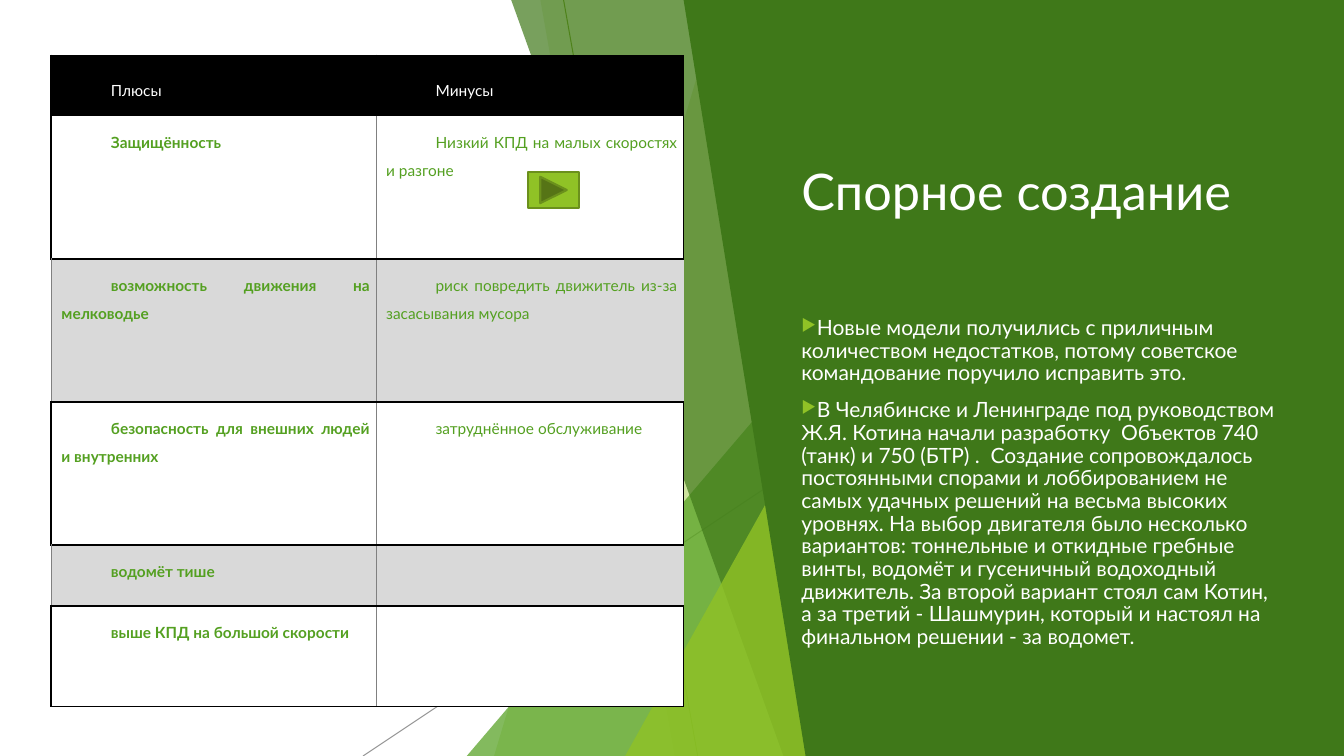
"""Build the slide on the disputed design: a pros and cons table beside a green text panel."""
from dataclasses import dataclass

from lxml import etree
from pptx import Presentation
from pptx.dml.color import RGBColor
from pptx.enum.shapes import MSO_CONNECTOR as CONN, MSO_SHAPE as SHAPE
from pptx.enum.text import MSO_ANCHOR as ANCHOR, PP_ALIGN as ALIGN
from pptx.oxml.ns import qn
from pptx.util import Inches, Pt

FONT = "Lato"
WHITE, BLACK, GRAY, BAND = "FFFFFF", "000000", "808080", "D9D9D9"
LIME, GREEN, DARK = "90C226", "54A021", "3F7819"
NO_GRID = "{2D5ABB26-0587-4C30-8999-92F81FD0307C}"


@dataclass
class Line:
    start: tuple[float, float]
    end: tuple[float, float]
    color: str
    alpha: int = 100


@dataclass
class Facet:
    points: list[tuple[float, float]]
    color: str
    alpha: int = 100


@dataclass
class Triangle:
    box: tuple[float, float, float, float]
    color: str
    alpha: int


@dataclass
class Row:
    height: float
    pro: str
    con: str = ""


EDGE = 8.19
LINES = [
    Line((5.59, 0), (6.92, 7.5), "6C921D"),
    Line((8.81, 4.03), (3.6, 7.5), GRAY, 80),
]
FACETS = [
    Facet([(7.14, 0), (EDGE, 0), (EDGE, 7.5), (4.9, 7.5)], LIME, 30),
    Facet([(5.36, 0), (EDGE, 0), (EDGE, 7.5), (6.69, 7.5)], LIME, 20),
    Triangle((4.63, 3.33, 3.56, 4.17), GREEN, 72),
    Facet([(5.07, 0), (EDGE, 0), (EDGE, 7.5), (7.77, 7.5)], DARK, 70),
    Triangle((6.2, 3.93, 1.99, 3.57), LIME, 80),
    Facet([(6.78, 0), (13.33, 0), (13.33, 7.5), (7.99, 7.5)], DARK),
]
ROWS = [
    Row(0.6, "Плюсы", "Минусы"),
    Row(1.42, "Защищённость", "Низкий КПД на малых скоростях и разгоне"),
    Row(1.42, "возможность движения на мелководье",
        "риск повредить движитель из-за засасывания мусора"),
    Row(1.42, "безопасность для внешних людей и внутренних", "затруднённое обслуживание"),
    Row(0.6, "водомёт тише"),
    Row(1, "выше КПД на большой скорости"),
]
COLS = [3.22, 3.05]
BODY = [
    "Новые модели получились с приличным количеством недостатков, потому советское "
    "командование поручило исправить это.",
    "В Челябинске и Ленинграде под руководством Ж.Я. Котина начали разработку  Объектов 740 "
    "(танк) и 750 (БТР) .  Создание сопровождалось постоянными спорами и лоббированием не самых "
    "удачных решений на весьма высоких уровнях. На выбор двигателя было несколько вариантов: "
    "тоннельные и откидные гребные винты, водомёт и гусеничный водоходный движитель. За второй "
    "вариант стоял сам Котин, а за третий - Шашмурин, который и настоял на финальном решении - "
    "за водомет.",
]


def rgb(color: str) -> RGBColor:
    return RGBColor.from_string(color)


def add(parent, tag: str, **attrs: str):
    el = etree.SubElement(parent, qn(tag))
    for key, value in attrs.items():
        el.set(key, value)
    return el


def set_alpha(shape, alpha: int) -> None:
    if alpha < 100:
        add(next(shape._element.spPr.iter(qn("a:srgbClr"))), "a:alpha", val=str(alpha * 1000))


def paint(shape, color: str, alpha: int = 100) -> None:
    shape.shadow.inherit = False
    shape.fill.solid()
    shape.fill.fore_color.rgb = rgb(color)
    shape.line.fill.background()
    set_alpha(shape, alpha)


def draw_line(s, line: Line) -> None:
    c = s.shapes.add_connector(CONN.STRAIGHT, *map(Inches, line.start + line.end))
    c.line.color.rgb = rgb(line.color)
    c.line.width = Pt(0.75)
    set_alpha(c, line.alpha)
    add(c._element.spPr, "a:effectLst")


def draw_facet(s, facet: Facet | Triangle) -> None:
    if isinstance(facet, Triangle):
        shape = s.shapes.add_shape(SHAPE.ISOSCELES_TRIANGLE, *map(Inches, facet.box))
        shape.adjustments[0] = 1
    else:
        first, *rest = [(Inches(x), Inches(y)) for x, y in facet.points]
        fb = s.shapes.build_freeform(*first)
        fb.add_line_segments(rest)
        shape = fb.convert_to_shape()
    paint(shape, facet.color, facet.alpha)


def add_run(p, text: str, size: float, color: str, bold: bool = False) -> None:
    r = p.add_run()
    r.text = text
    r.font.name, r.font.size, r.font.bold = FONT, Pt(size), bold
    r.font.color.rgb = rgb(color)


def add_box(s, top: float, height: float):
    tf = s.shapes.add_textbox(Inches(7.85), Inches(top), Inches(4.94), Inches(height)).text_frame
    tf.word_wrap = True
    return tf


def add_bullet(p) -> None:
    pPr = p._p.get_or_add_pPr()
    add(add(pPr, "a:buClr"), "a:srgbClr", val=LIME)
    add(pPr, "a:buSzPct", val="80000")
    add(pPr, "a:buChar", char="▶")


def cell_borders(row: int, col: int) -> dict[str, tuple[str, float]]:
    thick, thin = (BLACK, 1.5), (GRAY, 0.5)
    if row == 0:
        return {"L": thick, "T": thick} | ({"R": thick} if col == 0 else {})
    if row % 2 == 0:
        return {"L": thin, "T": thick} | ({"R": thin} if col == 0 else {})
    left, right = (thick, thin) if col == 0 else (thin, thick)
    return {"L": left, "R": right, "B": thick}


def fill_cell(cell, row: int, col: int, text: str) -> None:
    tcPr = cell._tc.get_or_add_tcPr()
    borders = cell_borders(row, col)
    for side in "LRTB":
        if side in borders:
            color, width = borders[side]
            ln = add(tcPr, f"a:ln{side}", w=str(Pt(width)))
            add(add(ln, "a:solidFill"), "a:srgbClr", val=color)
    cell.fill.solid()
    cell.fill.fore_color.rgb = rgb(BLACK if row == 0 else WHITE if row % 2 else BAND)
    cell.margin_left, cell.margin_right = Inches(0.1), Inches(0.06)
    cell.margin_top = cell.margin_bottom = Inches(0.08)
    cell.vertical_anchor = ANCHOR.TOP if row else ANCHOR.MIDDLE
    if text:
        p = cell.text_frame.paragraphs[0]
        p.alignment, p.line_spacing = ALIGN.JUSTIFY, 1.5
        p._p.get_or_add_pPr().set("indent", str(Inches(0.49)))
        add_run(p, text, 11, GREEN if row else WHITE, bold=row > 0 and col == 0)


def add_pros_cons(s) -> None:
    height = sum(row.height for row in ROWS)
    box = map(Inches, (0.51, 0.55, sum(COLS), height))
    table = s.shapes.add_table(len(ROWS), len(COLS), *box).table
    table.first_row = table.horz_banding = False
    next(table._tbl.iter(qn("a:tableStyleId"))).text = NO_GRID
    for j, width in enumerate(COLS):
        table.columns[j].width = Inches(width)
    for i, row in enumerate(ROWS):
        table.rows[i].height = Inches(row.height)
        for j, text in enumerate((row.pro, row.con)):
            fill_cell(table.cell(i, j), i, j, text)


def main() -> None:
    prs = Presentation()
    prs.slide_width, prs.slide_height = Inches(13.33), Inches(7.5)
    s = prs.slides.add_slide(prs.slide_layouts[6])
    for line in LINES:
        draw_line(s, line)
    for facet in FACETS:
        draw_facet(s, facet)
    tf = add_box(s, 0.67, 2.44)
    tf.vertical_anchor = ANCHOR.MIDDLE
    add_run(tf.paragraphs[0], "Спорное создание", 36, WHITE)
    tf = add_box(s, 3.1, 3.63)
    for i, text in enumerate(BODY):
        p = tf.add_paragraph() if i else tf.paragraphs[0]
        p.line_spacing, p.space_before = 0.9, Pt(10 if i else 0)
        add_bullet(p)
        add_run(p, text, 15, WHITE)
    add_pros_cons(s)
    button = s.shapes.add_shape(SHAPE.ACTION_BUTTON_FORWARD_OR_NEXT,
                                *map(Inches, (5.24, 1.71, 0.5, 0.35)))
    paint(button, LIME)
    button.line.color.rgb = rgb("6B901C")
    button.line.width = Pt(1.5)
    prs.save("out.pptx")


if __name__ == "__main__":
    main()
